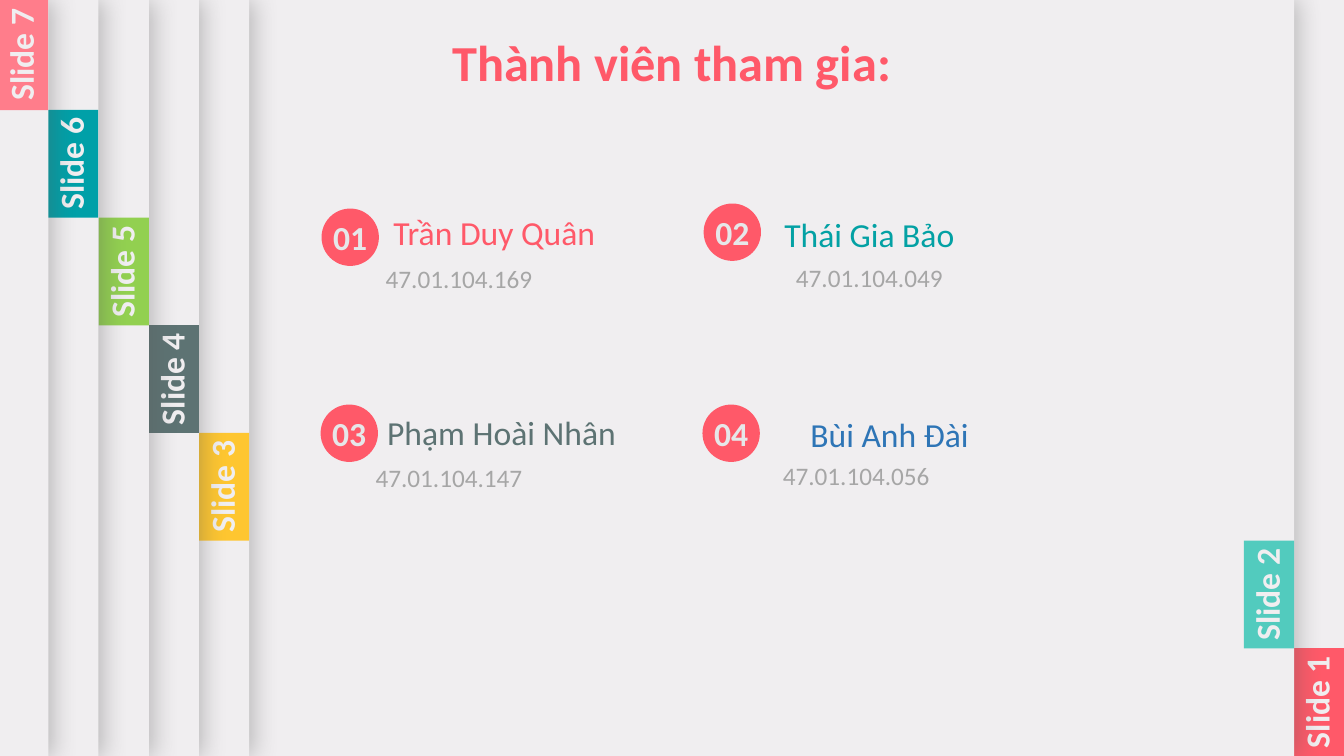
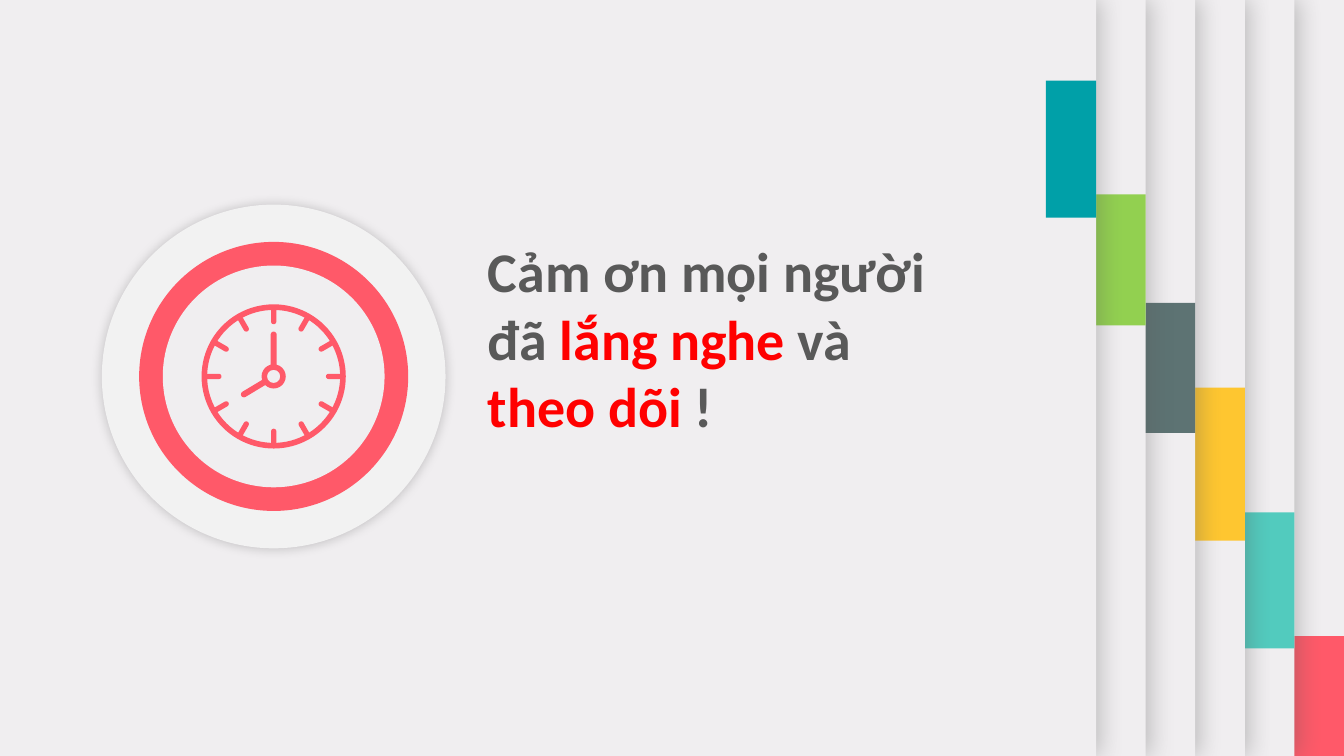
from dataclasses import dataclass
from math import cos, radians, sin

from lxml.etree import SubElement
from pptx import Presentation
from pptx.dml.color import RGBColor
from pptx.enum.shapes import MSO_SHAPE as Shape
from pptx.enum.text import MSO_ANCHOR as Anchor, MSO_AUTO_SIZE as AutoSize, PP_ALIGN as Align
from pptx.oxml.ns import qn
from pptx.util import Pt


@dataclass(frozen=True)
class Theme:
    font: str = "Calibri"
    paper: str = "F0EEF0"
    coral: str = "FF5969"
    pink: str = "FF7D8B"
    mint: str = "52CBBE"
    yellow: str = "FEC630"
    slate: str = "5D7373"
    green: str = "92D050"
    teal: str = "00A0A8"
    name_teal: str = "03A1A4"
    blue: str = "2E75B6"
    badge_text: str = "E6E7E9"
    muted: str = "A6A6A6"
    dark: str = "595959"
    red: str = "FF0000"
    dial: str = "F2F2F2"
    black: str = "000000"
    closing_size: int = 40
    title_size: int = 36
    label_size: int = 24
    code_size: int = 18


THEME = Theme()
WIDTH, HEIGHT = 960, 540
TAB_WIDTH, TAB_STEP = 36, 76.9
CLOCK_X, CLOCK_Y = 195.5, 268.9

# Tabs from back to front: label, colour, right edge, height
MEMBER_TABS = [
    ("Slide 1", THEME.coral, 960, 77),
    ("Slide 2", THEME.mint, 924.5, 77),
    ("Slide 3", THEME.yellow, 178, 77),
    ("Slide 4", THEME.slate, 142.2, 77),
    ("Slide 5", THEME.green, 106.4, 77),
    ("Slide 6", THEME.teal, 70.2, 77),
    ("Slide 7", THEME.pink, 34.5, 79),
]
CLOSING_TABS = [
    (None, colour, WIDTH - 35.4 * index, height)
    for index, (colour, height) in enumerate([
        (THEME.coral, 85.7), (THEME.mint, 97.2), (THEME.yellow, 109.4),
        (THEME.slate, 92.9), (THEME.green, 93.6), (THEME.teal, 97.9),
    ])
]

# Number, name, name colour, code, then left and top of badge, name and code
MEMBERS = [
    ("01", "Trần Duy Quân", THEME.coral, "47.01.104.169",
     (229.7, 149), (249.1, 147.6), (223.9, 184.3)),
    ("02", "Thái Gia Bảo", THEME.name_teal, "47.01.104.049",
     (502.6, 145.4), (517, 149), (517, 183.6)),
    ("03", "Phạm Hoài Nhân", THEME.slate, "47.01.104.147",
     (229, 289), (254.2, 290.9), (216.7, 326.9)),
    ("04", "Bùi Anh Đài", THEME.blue, "47.01.104.056",
     (501.8, 289), (531.4, 292.3), (507.6, 325.4)),
]


def rgb(colour):
    return RGBColor.from_string(colour)


def write(frame, text, size, colour, bold=False, align=Align.CENTER):
    """Fill a frame with one paragraph; text is a string or (text, colour) runs."""
    paragraph = frame.paragraphs[0]
    paragraph.alignment = align
    font = paragraph.font
    font.name, font.size, font.bold = THEME.font, Pt(size), bold
    font.color.rgb = rgb(colour)
    if isinstance(text, str):
        paragraph.add_run().text = text
        return
    for words, run_colour in text:
        run = paragraph.add_run()
        run.text = words
        run.font.color.rgb = rgb(run_colour)


def add_box(slide, kind, left, top, width, height, colour):
    shape = slide.shapes.add_shape(kind, Pt(left), Pt(top), Pt(width), Pt(height))
    shape.shadow.inherit = False
    shape.fill.solid()
    shape.fill.fore_color.rgb = rgb(colour)
    shape.line.fill.background()
    return shape


def add_shadow(shape, colour, opacity, blur, distance):
    effects = shape.element.spPr.find(qn("a:effectLst"))
    shadow = SubElement(effects, qn("a:outerShdw"), blurRad=str(Pt(blur)),
                        dist=str(Pt(distance)), dir="0", rotWithShape="0")
    tint = SubElement(shadow, qn("a:srgbClr"), val=colour)
    SubElement(tint, qn("a:alpha"), val=str(opacity * 1000))


def add_label(slide, text, left, top, width, height, size, colour, bold=False):
    label = slide.shapes.add_textbox(Pt(left), Pt(top), Pt(width), Pt(height))
    label.text_frame.word_wrap = True
    write(label.text_frame, text, size, colour, bold)
    return label


def add_page(presentation, tabs):
    """Start a slide with its stack of shadowed sheets and coloured tabs."""
    slide = presentation.slides.add_slide(presentation.slide_layouts[5])
    slide.background.fill.solid()
    slide.background.fill.fore_color.rgb = rgb(THEME.paper)
    for index, (text, colour, right, height) in enumerate(tabs):
        sheet = add_box(slide, Shape.RECTANGLE, 0, 0, right, HEIGHT, THEME.paper)
        add_shadow(sheet, THEME.dark, 35, 17, 3)
        left, top = right - TAB_WIDTH, HEIGHT - TAB_STEP * index - height
        add_box(slide, Shape.RECTANGLE, left, top, TAB_WIDTH, height, colour)
        if text:
            length = 86
            label = add_label(slide, text, left + (TAB_WIDTH - length) / 2 - 1.8,
                              top + (height - TAB_WIDTH) / 2, length, TAB_WIDTH,
                              THEME.label_size, THEME.paper, bold=True)
            label.rotation = 270
    return slide


def place_title(slide, text, left, top, width, height, size, colour, align):
    title = slide.shapes.title
    title.left, title.top = Pt(left), Pt(top)
    title.width, title.height = Pt(width), Pt(height)
    frame = title.text_frame
    frame.auto_size, frame.word_wrap = AutoSize.NONE, True
    frame.vertical_anchor = Anchor.TOP
    write(frame, text, size, colour, True, align)
    # Bring the title in front of the sheets
    title.element.getparent().append(title.element)


def add_member(slide, number, name, colour, code, badge_at, name_at, code_at):
    badge = add_box(slide, Shape.OVAL, *badge_at, 41, 41, THEME.coral)
    frame = badge.text_frame
    frame.margin_left = frame.margin_right = frame.margin_top = frame.margin_bottom = 0
    frame.word_wrap, frame.vertical_anchor = False, Anchor.MIDDLE
    write(frame, number, THEME.label_size, THEME.badge_text, bold=True)
    add_label(slide, name, *name_at, 208, 36, THEME.label_size, colour)
    add_label(slide, code, *code_at, 208, 29, THEME.code_size, THEME.muted)


def add_disc(slide, diameter, colour, kind=Shape.OVAL):
    """Add a round shape centred on the clock."""
    return add_box(slide, kind, CLOCK_X - diameter / 2, CLOCK_Y - diameter / 2,
                   diameter, diameter, colour)


def add_spoke(slide, kind, angle, radius, width, length):
    """Add a bar pointing outwards, its middle at radius from the clock centre."""
    middle_x = CLOCK_X + radius * sin(radians(angle))
    middle_y = CLOCK_Y - radius * cos(radians(angle))
    spoke = add_box(slide, kind, middle_x - width / 2, middle_y - length / 2,
                    width, length, THEME.coral)
    spoke.adjustments[0] = 0.5
    spoke.rotation = angle


def add_clock(slide):
    # Dial
    dial = add_disc(slide, 245.5, THEME.dial)
    add_shadow(dial, THEME.black, 20, 8, 0)
    add_disc(slide, 192.2, THEME.coral)
    add_disc(slide, 158.4, THEME.paper)
    # Hour ticks
    for angle in range(0, 360, 30):
        add_spoke(slide, Shape.ROUNDED_RECTANGLE, angle, 43.3, 3.8, 12)
    # Rim and hub
    for diameter, thickness in [(103, 0.039), (17.3, 0.226)]:
        ring = add_disc(slide, diameter, THEME.coral, Shape.DONUT)
        ring.adjustments[0] = thickness
    # Hour and minute hands
    for angle, radius, length in [(239, 16.5, 20.9), (0, 19.8, 24.5)]:
        add_spoke(slide, Shape.ROUND_2_SAME_RECTANGLE, angle, radius, 4.3, length)


def main():
    presentation = Presentation()
    presentation.slide_width, presentation.slide_height = Pt(WIDTH), Pt(HEIGHT)

    # Members
    slide = add_page(presentation, MEMBER_TABS)
    place_title(slide, "Thành viên tham gia:", 289.4, 18.7, 381, 51,
                THEME.title_size, THEME.coral, Align.CENTER)
    for member in MEMBERS:
        add_member(slide, *member)

    # Closing
    slide = add_page(presentation, CLOSING_TABS)
    thanks = [("Cảm ơn mọi người đã ", THEME.dark), ("lắng nghe ", THEME.red),
              ("và ", THEME.dark), ("theo dõi ", THEME.red), ("!", THEME.dark)]
    place_title(slide, thanks, 341.3, 165.6, 347, 152.6,
                THEME.closing_size, THEME.dark, Align.LEFT)
    add_clock(slide)

    presentation.save("out.pptx")


if __name__ == "__main__":
    main()
